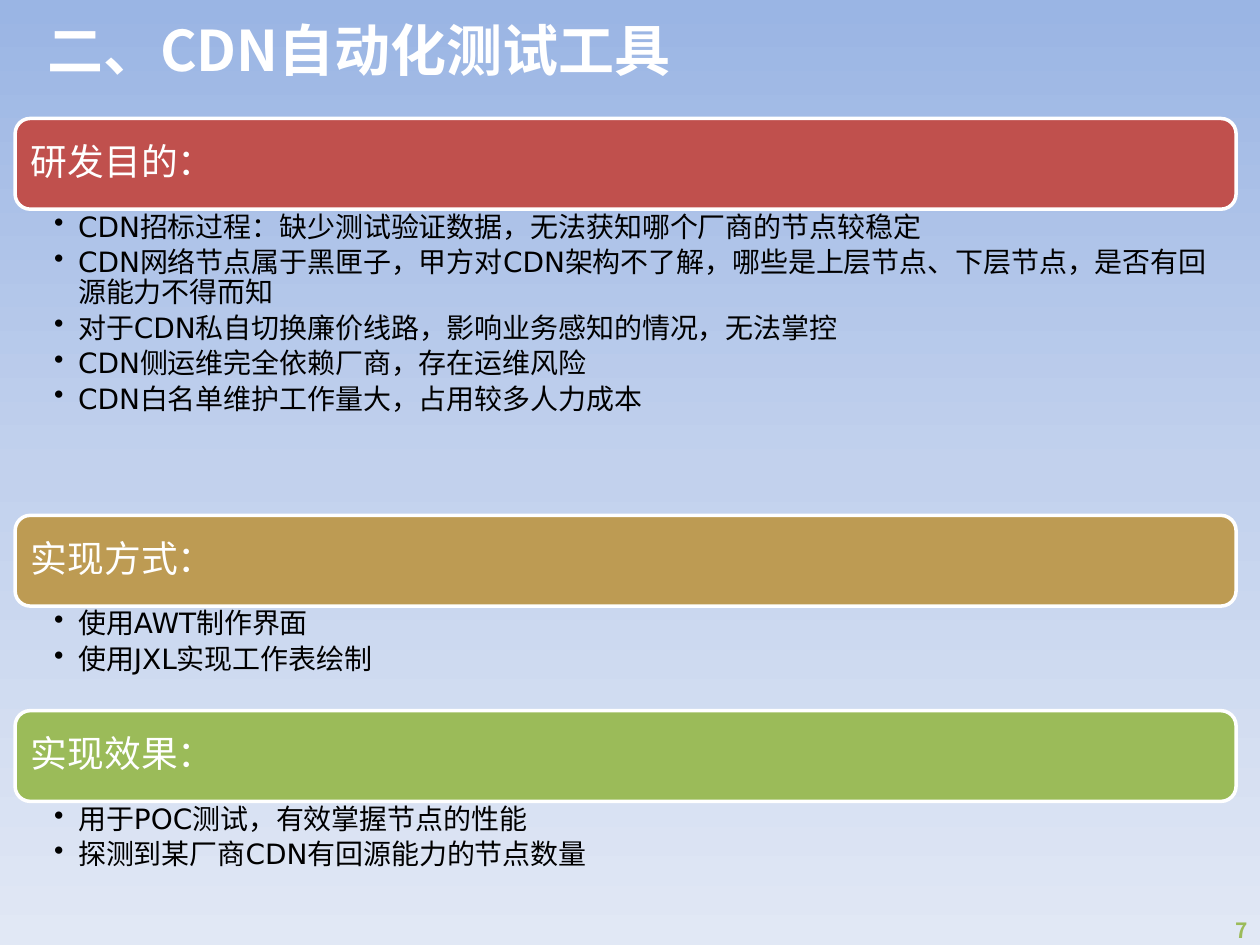
from copy import deepcopy

from lxml.etree import SubElement
from pptx import Presentation
from pptx.dml.color import RGBColor
from pptx.enum.shapes import MSO_SHAPE as Shape
from pptx.enum.text import MSO_ANCHOR as Anchor, PP_ALIGN as Align
from pptx.oxml.ns import qn
from pptx.util import Inches, Pt

WHITE = RGBColor(0xFF, 0xFF, 0xFF)
BLACK = RGBColor(0x00, 0x00, 0x00)
RED = RGBColor(0xC0, 0x50, 0x4D)
OCHRE = RGBColor(0xBD, 0x9B, 0x53)
GREEN = RGBColor(0x9B, 0xBB, 0x59)
SKY = [
    (0, RGBColor(0x9A, 0xB5, 0xE4)),
    (0.5, RGBColor(0xC2, 0xD1, 0xED)),
    (1, RGBColor(0xE1, 0xE8, 0xF5)),
]

LEFT, WIDTH, TOP, BAR_HEIGHT = 0.12, 9.69, 0.94, 0.72

SECTIONS = [
    ("研发目的：", RED, 2.43, [
        "CDN招标过程：缺少测试验证数据，无法获知哪个厂商的节点较稳定",
        "CDN网络节点属于黑匣子，甲方对CDN架构不了解，哪些是上层节点、下层节点，是否有回源能力不得而知",
        "对于CDN私自切换廉价线路，影响业务感知的情况，无法掌控",
        "CDN侧运维完全依赖厂商，存在运维风险",
        "CDN白名单维护工作量大，占用较多人力成本",
    ]),
    ("实现方式：", OCHRE, 0.83, [
        "使用AWT制作界面",
        "使用JXL实现工作表绘制",
    ]),
    ("实现效果：", GREEN, 0.83, [
        "用于POC测试，有效掌握节点的性能",
        "探测到某厂商CDN有回源能力的节点数量",
    ]),
]


class SlideBuilder:
    cjk_font = "Noto Sans CJK SC"
    body_font = "DejaVu Sans"

    def __init__(self, prs):
        self.s = prs.slides.add_slide(prs.slide_layouts[5])

    def background(self, stops):
        fill = self.s.background.fill
        fill.gradient()
        fill.gradient_angle = 270
        gs_list = self.s.element.find(".//" + qn("a:gsLst"))
        gs_list.insert(1, deepcopy(gs_list[0]))
        for stop, (position, color) in zip(fill.gradient_stops, stops):
            stop.position = position
            stop.color.rgb = color

    def format(self, p, size, color, font, bold=False):
        for r in p.runs:
            r.font.size = Pt(size)
            r.font.bold = bold
            r.font.color.rgb = color
            r.font.name = font
            SubElement(r._r.get_or_add_rPr(), qn("a:ea"), typeface=self.cjk_font)

    def frame(self, sp, margins, anchor):
        tf = sp.text_frame
        tf.word_wrap = True
        tf.vertical_anchor = anchor
        tf.margin_left, tf.margin_top, tf.margin_right, tf.margin_bottom = map(Inches, margins)
        return tf

    def title(self, text, left, top, width, height):
        sp = self.s.shapes.title
        sp.left, sp.top, sp.width, sp.height = map(Inches, (left, top, width, height))
        tf = self.frame(sp, (0.1, 0.05, 0.1, 0.05), Anchor.MIDDLE)
        tf.text = text
        p = tf.paragraphs[0]
        p.alignment = Align.LEFT
        self.format(p, 32, WHITE, self.cjk_font, True)

    def page_number(self, text, left, top, width, height):
        sp = self.s.shapes.add_textbox(*map(Inches, (left, top, width, height)))
        tf = self.frame(sp, (0.1, 0.05, 0.1, 0.05), Anchor.TOP)
        tf.text = text
        p = tf.paragraphs[0]
        p.alignment = Align.RIGHT
        self.format(p, 12, GREEN, self.cjk_font, True)

    def bar(self, text, color, top):
        sp = self.s.shapes.add_shape(
            Shape.ROUNDED_RECTANGLE, *map(Inches, (LEFT, top, WIDTH, BAR_HEIGHT)))
        sp.shadow.inherit = False
        sp.fill.solid()
        sp.fill.fore_color.rgb = color
        sp.line.color.rgb = WHITE
        sp.line.width = Pt(2)
        tf = self.frame(sp, (0.09, 0.09, 0.09, 0.09), Anchor.MIDDLE)
        tf.text = text
        p = tf.paragraphs[0]
        p.alignment = Align.LEFT
        p.line_spacing = 0.9
        self.format(p, 21, WHITE, self.body_font)

    def bullets(self, items, top, height):
        sp = self.s.shapes.add_textbox(*map(Inches, (LEFT, top, WIDTH, height)))
        tf = self.frame(sp, (0.31, 0.03, 0.16, 0.03), Anchor.TOP)
        tf.text = "\n".join(items)
        for p in tf.paragraphs:
            p.level = 1
            p.line_spacing = 0.9
            p.space_after = Pt(3)
            pPr = p._p.get_or_add_pPr()
            pPr.set("marL", str(Inches(0.19)))
            pPr.set("indent", str(Inches(-0.19)))
            SubElement(pPr, qn("a:buChar"), char="•")
            self.format(p, 16, BLACK, self.body_font)


def main():
    prs = Presentation()
    prs.slide_width, prs.slide_height = Inches(10), Inches(7.5)
    slide = SlideBuilder(prs)
    slide.background(SKY)
    slide.page_number("7", 9.57, 7.23, 0.43, 0.3)
    slide.title("二、CDN自动化测试工具", 0.28, 0.05, 9, 0.68)
    top = TOP
    for heading, color, height, items in SECTIONS:
        slide.bar(heading, color, top)
        slide.bullets(items, top + BAR_HEIGHT, height)
        top += BAR_HEIGHT + height
    prs.save("out.pptx")


if __name__ == "__main__":
    main()
